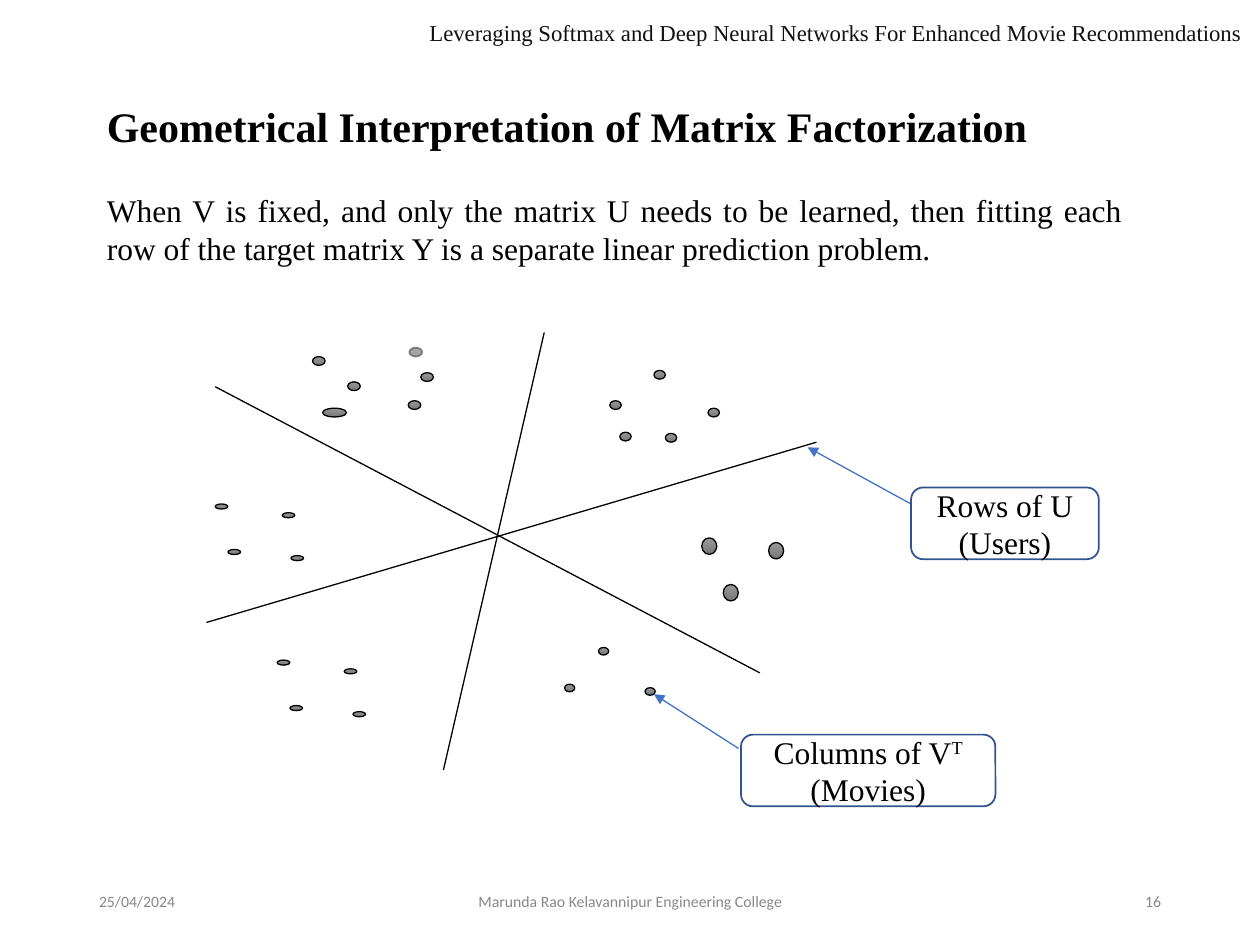
from dataclasses import dataclass

from lxml import etree
from pptx import Presentation
from pptx.dml import color
from pptx.enum import shapes, text
from pptx.oxml import ns
from pptx.util import Pt

LEFT, CENTER, RIGHT, JUSTIFY = (
    text.PP_ALIGN.LEFT, text.PP_ALIGN.CENTER, text.PP_ALIGN.RIGHT, text.PP_ALIGN.JUSTIFY)
TOP, MIDDLE = text.MSO_ANCHOR.TOP, text.MSO_ANCHOR.MIDDLE


@dataclass(frozen=True)
class Theme:
    serif: str = "Times New Roman"
    sans: str = "Calibri"
    title: float = 24
    body: float = 18
    header: float = 13
    footer: float = 9
    ink: str = "000000"
    header_ink: str = "111111"
    muted: str = "888888"
    paper: str = "FFFFFF"
    dot_light: str = "9A9A9A"
    dot_dark: str = "787878"
    dot_pale: str = "A5A5A5"
    pointer: str = "4472C4"
    label_edge: str = "31538F"
    thin: float = 0.75
    edge: float = 1


THEME = Theme()


@dataclass(frozen=True)
class Box:
    left: float
    top: float
    width: float
    height: float

    def lengths(self) -> list:
        return [Pt(n) for n in (self.left, self.top, self.width, self.height)]


@dataclass(frozen=True)
class Caption:
    box: Box
    words: str
    size: float
    ink: str = THEME.ink
    face: str = THEME.serif
    bold: bool = False
    align: int = LEFT
    anchor: int = TOP


@dataclass(frozen=True)
class Cluster:
    width: float
    height: float
    corners: tuple
    pale: bool = False


@dataclass(frozen=True)
class Segment:
    start: tuple
    end: tuple
    ink: str = THEME.ink
    arrow: bool = False


@dataclass(frozen=True)
class Label:
    box: Box
    subject: str
    superscript: str
    kind: str
    pointer: Segment


def rgb(code: str) -> color.RGBColor:
    return color.RGBColor.from_string(code)


def set_font(paragraph, face: str, size: float, ink: str, bold: bool = False) -> None:
    paragraph.font.name = face
    paragraph.font.size = Pt(size)
    paragraph.font.bold = bold
    paragraph.font.color.rgb = rgb(ink)


def draw_caption(slide, caption: Caption) -> None:
    frame = slide.shapes.add_textbox(*caption.box.lengths()).text_frame
    frame.word_wrap = True
    frame.vertical_anchor = caption.anchor
    paragraph = frame.paragraphs[0]
    paragraph.text = caption.words
    paragraph.alignment = caption.align
    set_font(paragraph, caption.face, caption.size, caption.ink, caption.bold)


def draw_cluster(slide, cluster: Cluster) -> None:
    for left, top in cluster.corners:
        box = Box(left, top, cluster.width, cluster.height)
        dot = slide.shapes.add_shape(shapes.MSO_SHAPE.OVAL, *box.lengths())
        dot.shadow.inherit = False
        if cluster.pale:
            dot.fill.solid()
            dot.fill.fore_color.rgb = rgb(THEME.dot_pale)
        else:
            dot.fill.gradient()
            dot.fill.gradient_angle = 270
            for stop, shade in zip(dot.fill.gradient_stops, (THEME.dot_light, THEME.dot_dark)):
                stop.color.rgb = rgb(shade)
        dot.line.color.rgb = rgb(THEME.dot_dark if cluster.pale else THEME.ink)
        dot.line.width = Pt(THEME.edge if cluster.pale else THEME.thin)


def draw_segment(slide, segment: Segment) -> None:
    ends = [Pt(n) for n in segment.start + segment.end]
    line = slide.shapes.add_connector(shapes.MSO_CONNECTOR.STRAIGHT, *ends)
    line.line.color.rgb = rgb(segment.ink)
    line.line.width = Pt(THEME.thin)
    if segment.arrow:
        outline = line.line._get_or_add_ln()
        etree.SubElement(outline, ns.qn("a:tailEnd"), type="triangle")
    etree.SubElement(line._element.spPr, ns.qn("a:effectLst"))


def draw_label(slide, label: Label) -> None:
    draw_segment(slide, label.pointer)
    plate = slide.shapes.add_shape(shapes.MSO_SHAPE.ROUNDED_RECTANGLE, *label.box.lengths())
    plate.shadow.inherit = False
    plate.fill.solid()
    plate.fill.fore_color.rgb = rgb(THEME.paper)
    plate.line.color.rgb = rgb(THEME.label_edge)
    plate.line.width = Pt(THEME.edge)
    frame = plate.text_frame
    frame.word_wrap = True
    frame.vertical_anchor = MIDDLE
    paragraph = frame.paragraphs[0]
    paragraph.alignment = CENTER
    set_font(paragraph, THEME.serif, THEME.body, THEME.ink)
    paragraph.add_run().text = label.subject
    if label.superscript:
        raised = paragraph.add_run()
        raised.text = label.superscript
        raised._r.get_or_add_rPr().set("baseline", "30000")
    paragraph.add_line_break()
    paragraph.add_run().text = label.kind


FLAT = ((123, 288), (166.3, 317.5), (130.3, 314), (161.3, 293))
FLAT_SHIFT = (35.4, 89.2)

CLUSTERS = (
    Cluster(7.2, 5, ((178.6, 203.8), (198.7, 218.2), (240.5, 213), (233.3, 229))),
    Cluster(7.2, 5, ((234, 198.7),), pale=True),
    Cluster(13.7, 5, ((184.3, 233.3),)),
    Cluster(6.5, 5, ((404.6, 233.3), (373.7, 211.7), (380.2, 247.7), (354.2, 247), (348.5, 229))),
    Cluster(8.6, 9.4, ((401, 307.4), (413.3, 334), (439.2, 310))),
    Cluster(5.8, 4.3, ((322.6, 391), (368.6, 393), (342, 370))),
    Cluster(7.2, 2.9, FLAT),
    Cluster(7.2, 2.9, tuple((x + FLAT_SHIFT[0], y + FLAT_SHIFT[1]) for x, y in FLAT)),
)

USER_ROWS = (
    Segment((123, 221), (434.2, 384.5)),
    Segment((311, 190), (253.4, 440)),
    Segment((118, 355.7), (466.6, 252.7)),
)

LABELS = (
    Label(Box(520.6, 278.6, 107.3, 41), "Rows of U", "", "(Users)",
          Segment((520.6, 288), (461.5, 255.6), THEME.pointer, True)),
    Label(Box(423.4, 419.8, 145.4, 41), "Columns of V", "T", "(Movies)",
          Segment((422, 427.7), (373.7, 396.7), THEME.pointer, True)),
)

HEADINGS = (
    Caption(Box(54, 54, 607, 36), "Geometrical Interpretation of Matrix Factorization",
            THEME.title, bold=True),
    Caption(Box(54, 105.8, 594.7, 72.7),
            "When V is fixed, and only the matrix U needs to be learned, then fitting each "
            "row of the target matrix Y is a separate linear prediction problem.",
            THEME.body, align=JUSTIFY),
    Caption(Box(238.3, 7.2, 656.6, 23),
            "Leveraging Softmax and Deep Neural Networks For Enhanced Movie Recommendations",
            THEME.header, THEME.header_ink),
)

FOOTERS = tuple(
    Caption(Box(left, 500.4, width, 28.8), words, THEME.footer, THEME.muted, THEME.sans,
            align=align, anchor=MIDDLE)
    for left, width, words, align in (
        (49.5, 162, "25/04/2024", LEFT),
        (238.5, 243, "Marunda Rao Kelavannipur Engineering College", CENTER),
        (508.5, 162, "16", RIGHT),
    )
)


def main() -> None:
    deck = Presentation()
    deck.slide_width, deck.slide_height = Pt(720), Pt(540)
    slide = deck.slides.add_slide(deck.slide_layouts[6])
    for draw, parts in ((draw_cluster, CLUSTERS), (draw_segment, USER_ROWS),
                        (draw_label, LABELS), (draw_caption, HEADINGS + FOOTERS)):
        for part in parts:
            draw(slide, part)
    deck.save("out.pptx")


if __name__ == "__main__":
    main()
